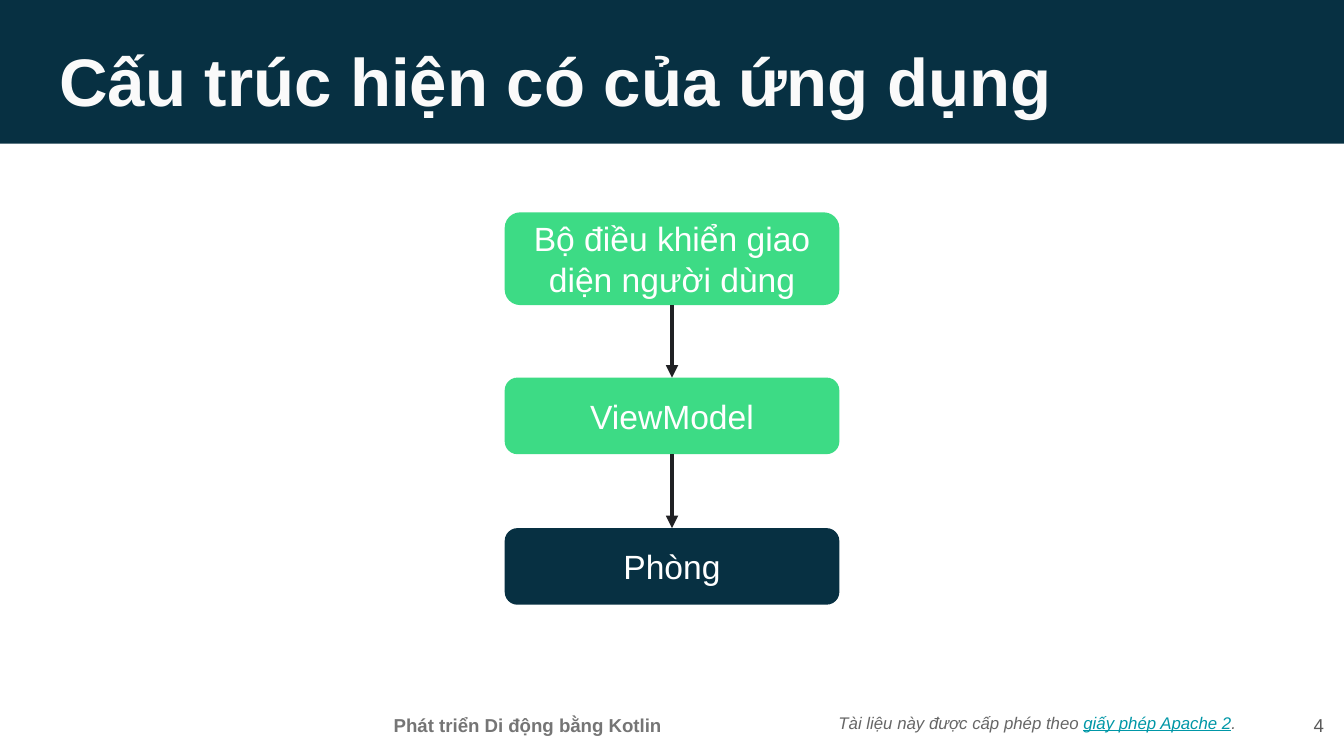
from dataclasses import dataclass

from lxml import etree
from pptx import Presentation
from pptx.dml.color import RGBColor
from pptx.enum import shapes, text
from pptx.oxml import ns
from pptx.util import Inches, Pt


@dataclass(frozen=True)
class Theme:
    font: str = "Arial"
    navy: str = "073042"
    green: str = "3DDB85"
    white: str = "FFFFFF"
    title: str = "FAFAFA"
    arrow: str = "202124"
    course: str = "757575"
    license: str = "666666"
    link: str = "0097A7"
    number: str = "595959"
    title_size: float = 36
    box_size: float = 18
    footer_size: float = 10
    license_size: float = 9


THEME = Theme()
SLIDE_WIDTH = 10
CENTER_X = SLIDE_WIDTH / 2
BOX_WIDTH = 2.49


def write(frame, content, *, size, color, bold=False, italic=False, underline=False,
          align=text.PP_ALIGN.LEFT, anchor=text.MSO_ANCHOR.MIDDLE):
    frame.word_wrap = True
    frame.auto_size = text.MSO_AUTO_SIZE.NONE
    frame.vertical_anchor = anchor
    frame.margin_left = frame.margin_right = Inches(0.1)
    frame.margin_top = frame.margin_bottom = Inches(0.1)
    paragraph = frame.paragraphs[0]
    paragraph.alignment = align
    run = paragraph.add_run()
    run.text = content
    run.font.name = THEME.font
    run.font.size = Pt(size)
    run.font.bold = bold
    run.font.italic = italic
    run.font.underline = underline
    run.font.color.rgb = RGBColor.from_string(color)


def add_label(slide, left, top, width, height):
    label = slide.shapes.add_textbox(Inches(left), Inches(top), Inches(width), Inches(height))
    return label.text_frame


def add_block(slide, preset, left, top, width, height, color):
    block = slide.shapes.add_shape(
        preset, Inches(left), Inches(top), Inches(width), Inches(height))
    block.shadow.inherit = False
    block.fill.solid()
    block.fill.fore_color.rgb = RGBColor.from_string(color)
    block.line.fill.background()
    return block


def add_layer(slide, name, top, height, color):
    layer = add_block(slide, shapes.MSO_SHAPE.ROUNDED_RECTANGLE,
                      CENTER_X - BOX_WIDTH / 2, top, BOX_WIDTH, height, color)
    write(layer.text_frame, name, size=THEME.box_size, color=THEME.white,
          align=text.PP_ALIGN.CENTER)


def add_arrow(slide, start, end):
    arrow = slide.shapes.add_connector(
        shapes.MSO_CONNECTOR.STRAIGHT,
        Inches(CENTER_X), Inches(start), Inches(CENTER_X), Inches(end))
    arrow.line.color.rgb = RGBColor.from_string(THEME.arrow)
    arrow.line.width = Pt(2.25)
    etree.SubElement(arrow.line._get_or_add_ln(), ns.qn("a:tailEnd"), type="triangle")
    etree.SubElement(arrow._element.spPr, ns.qn("a:effectLst"))


def add_header(slide, heading):
    band = add_block(slide, shapes.MSO_SHAPE.RECTANGLE, -0.01, -0.04, 10.01, 1.11, THEME.navy)
    slide.shapes._spTree.insert(2, band._element)
    title = slide.shapes.title
    title.left, title.top = Inches(0.34), Inches(0.19)
    title.width, title.height = Inches(9.32), Inches(0.63)
    write(title.text_frame, heading, size=THEME.title_size, color=THEME.title,
          bold=True, anchor=text.MSO_ANCHOR.TOP)


def add_footer(slide):
    license_note = add_label(slide, 6.14, 5.14, 3.52, 0.47)
    for content, color, underline in (
        ("Tài liệu này được cấp phép theo ", THEME.license, False),
        ("giấy phép Apache 2", THEME.link, True),
        (".", THEME.license, False),
    ):
        write(license_note, content, size=THEME.license_size, color=color,
              italic=True, underline=underline)
    write(add_label(slide, 2.51, 5.21, 2.83, 0.32), "Phát triển Di động bằng Kotlin",
          size=THEME.footer_size, color=THEME.course, bold=True,
          align=text.PP_ALIGN.CENTER, anchor=text.MSO_ANCHOR.TOP)
    write(add_label(slide, 9.35, 5.18, 0.6, 0.43), "4",
          size=THEME.footer_size, color=THEME.number, align=text.PP_ALIGN.RIGHT)


def main():
    deck = Presentation()
    deck.slide_width = Inches(SLIDE_WIDTH)
    deck.slide_height = Inches(SLIDE_WIDTH * 9 / 16)
    slide = deck.slides.add_slide(deck.slide_layouts[5])
    add_header(slide, "Cấu trúc hiện có của ứng dụng")
    layers = (
        ("Bộ điều khiển giao diện người dùng", 1.58, 0.69, THEME.green),
        ("ViewModel", 2.81, 0.57, THEME.green),
        ("Phòng", 3.93, 0.57, THEME.navy),
    )
    for layer in layers:
        add_layer(slide, *layer)
    for (_, top, height, _), (_, next_top, _, _) in zip(layers, layers[1:]):
        add_arrow(slide, top + height, next_top)
    add_footer(slide)
    deck.save("out.pptx")


if __name__ == "__main__":
    main()
